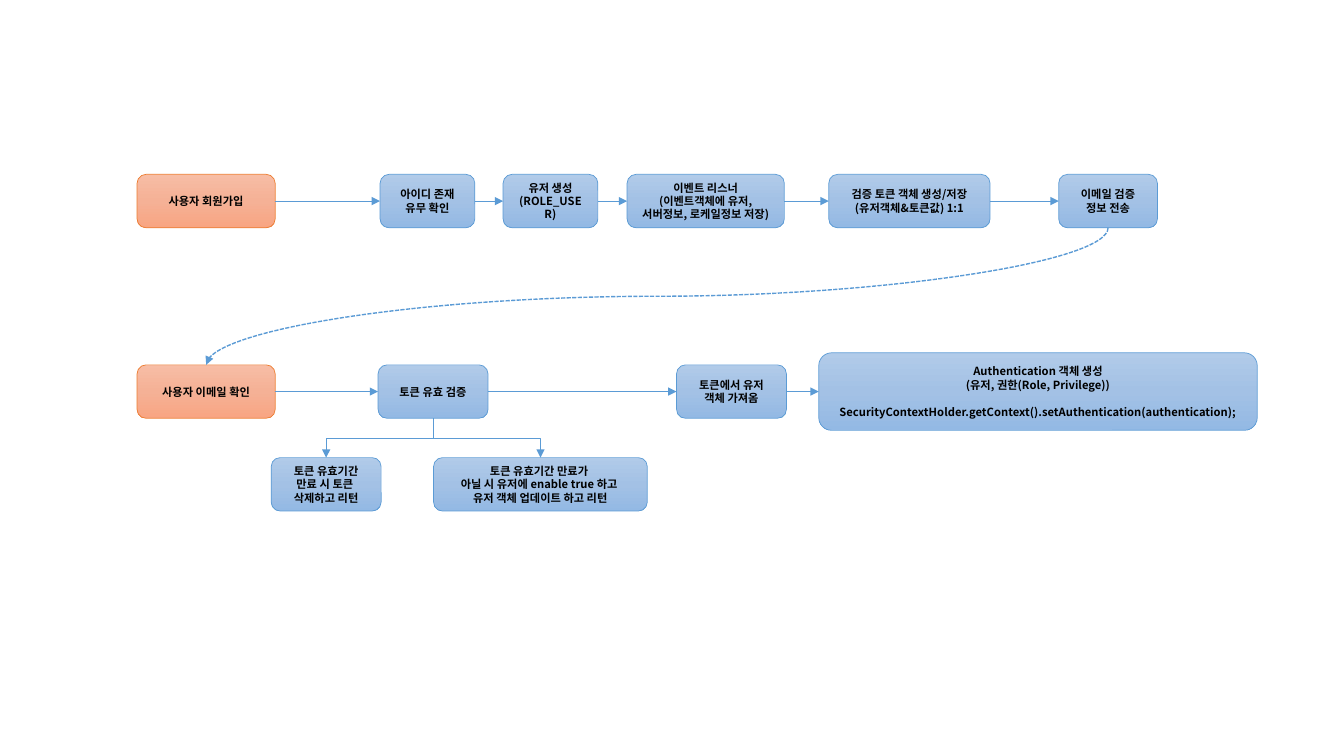
from copy import deepcopy

from lxml import etree
from pptx import Presentation
from pptx import util as u
from pptx.dml import color
from pptx.enum import dml, shapes, text
from pptx.oxml import ns

BOTTOM, LEFT, RIGHT, TOP = 2, 1, 3, 0


def rgb(value):
    return color.RGBColor.from_string(value)


class FlowSlide:
    FONT = "Noto Sans CJK KR"
    SIZE = u.Pt(8)
    BLUE = ("5B9BD5", ("B1CBE9", "A3C1E5", "93B9E4"))
    ORANGE = ("ED7D31", ("F7BDA5", "F5B196", "F8A582"))

    def __init__(self, deck):
        self.slide = deck.slides.add_slide(deck.slide_layouts[6])

    def step(self, left, top, width, paragraphs, height=0.53, style=BLUE, gap=0):
        """Rounded box; gap is the space in points before the last paragraph."""
        border, shades = style
        box = self.slide.shapes.add_shape(
            shapes.MSO_SHAPE.ROUNDED_RECTANGLE,
            u.Inches(left), u.Inches(top), u.Inches(width), u.Inches(height))
        box.shadow.inherit = False
        box.line.color.rgb = rgb(border)
        box.line.width = u.Pt(0.5)
        self.shade(box, shades)
        frame = box.text_frame
        frame.word_wrap = True
        frame.vertical_anchor = text.MSO_ANCHOR.MIDDLE
        for number, lines in enumerate(paragraphs):
            paragraph = frame.add_paragraph() if number else frame.paragraphs[0]
            paragraph.alignment = text.PP_ALIGN.CENTER
            self.add_lines(paragraph, lines)
        if gap:
            paragraph.space_before = u.Pt(gap)
        return box

    def shade(self, box, shades):
        box.fill.gradient()
        box.fill.gradient_angle = 270
        stops = box._element.spPr.find(".//" + ns.qn("a:gsLst"))
        stops.insert(1, deepcopy(stops[0]))
        for stop, position, value in zip(box.fill.gradient_stops, (0, 0.5, 1), shades):
            stop.position = position
            stop.color.rgb = rgb(value)

    def add_lines(self, paragraph, lines):
        for number, line in enumerate(lines.split("\n")):
            if number:
                paragraph.add_line_break()
            run = paragraph.add_run()
            run.text = line
            run.font.name = self.FONT
            run.font.size = self.SIZE
            run.font.bold = True
            run.font.color.rgb = rgb("000000")
            east_asian = etree.SubElement(run.font._element, ns.qn("a:ea"))
            east_asian.set("typeface", self.FONT)

    def join(self, kind, start, start_side, end, end_side, width=0.5):
        arrow = self.slide.shapes.add_connector(kind, 0, 0, 0, 0)
        arrow.begin_connect(start, start_side)
        arrow.end_connect(end, end_side)
        arrow.line.color.rgb = rgb(self.BLUE[0])
        arrow.line.width = u.Pt(width)
        outline = arrow._element.spPr.find(ns.qn("a:ln"))
        etree.SubElement(outline, ns.qn("a:tailEnd")).set("type", "triangle")
        etree.SubElement(arrow._element.spPr, ns.qn("a:effectLst"))
        return arrow

    def across(self, start, end):
        self.join(shapes.MSO_CONNECTOR.STRAIGHT, start, RIGHT, end, LEFT)

    def down(self, kind, start, end, width=0.5):
        """Connector leaving a bottom side and entering a top side."""
        arrow = self.join(kind, start, BOTTOM, end, TOP, width)
        x1, y1, x2, y2 = arrow.begin_x, arrow.begin_y, arrow.end_x, arrow.end_y
        drop, reach = y2 - y1, abs(x2 - x1)
        # The frame is turned a quarter so that it runs downwards
        arrow.left, arrow.top = (x1 + x2 - drop) // 2, (y1 + y2 - reach) // 2
        arrow.width, arrow.height = drop, reach
        frame = arrow._element.spPr.find(ns.qn("a:xfrm"))
        to_right = x2 > x1
        frame.set("rot", str((270 if to_right else 90) * 60000))
        frame.set("flipH", "1" if to_right else "0")
        frame.set("flipV", "0")
        return arrow


def main():
    deck = Presentation()
    deck.slide_width, deck.slide_height = u.Inches(13.33), u.Inches(7.5)
    flow = FlowSlide(deck)

    # Sign-up row
    row = 1.73
    sign_up = flow.step(1.36, row, 1.37, ["사용자 회원가입"], style=flow.ORANGE)
    id_check = flow.step(3.77, row, 0.94, ["아이디 존재 유무 확인"])
    user_creation = flow.step(4.99, row, 0.94, ["유저 생성\n(ROLE_USER)"])
    listener = flow.step(
        6.22, row, 1.56, ["이벤트 리스너\n(이벤트객체에 유저, 서버정보, 로케일정보 저장)"])
    token_creation = flow.step(
        8.22, row, 1.6, ["검증 토큰 객체 생성/저장\n(유저객체&토큰값) 1:1"])
    mail_sending = flow.step(10.5, row, 0.98, ["이메일 검증 정보 전송"])

    # Verification row
    row = 3.62
    mail_check = flow.step(1.36, row, 1.37, ["사용자 이메일 확인"], style=flow.ORANGE)
    token_check = flow.step(3.75, row, 1.09, ["토큰 유효 검증"])
    user_lookup = flow.step(6.71, row, 1.09, ["토큰에서 유저 객체 가져옴"])
    authentication = flow.step(
        8.12, 3.5, 4.35,
        ["Authentication 객체 생성", "(유저, 권한(Role, Privilege))",
         "SecurityContextHolder.getContext().setAuthentication(authentication);"],
        height=0.77, gap=9.6)

    # Outcomes of the token check
    row = 4.54
    expired = flow.step(2.69, row, 1.09, ["토큰 유효기간 만료 시 토큰 ", "삭제하고 리턴"])
    valid = flow.step(
        4.3, row, 2.12,
        ["토큰 유효기간 만료가 ", "아닐 시 유저에 enable true 하고 ",
         "유저 객체 업데이트 하고 리턴"])

    # Arrows along each row
    sign_up_row = [sign_up, id_check, user_creation, listener, token_creation, mail_sending]
    check_row = [mail_check, token_check, user_lookup, authentication]
    for steps in (sign_up_row, check_row):
        for start, end in zip(steps, steps[1:]):
            flow.across(start, end)

    # Arrows between rows
    for outcome in (expired, valid):
        flow.down(shapes.MSO_CONNECTOR.ELBOW, token_check, outcome)
    mail_arrow = flow.down(shapes.MSO_CONNECTOR.CURVE, mail_sending, mail_check, 1)
    mail_arrow.line.dash_style = dml.MSO_LINE.SQUARE_DOT

    deck.save("out.pptx")


if __name__ == "__main__":
    main()
